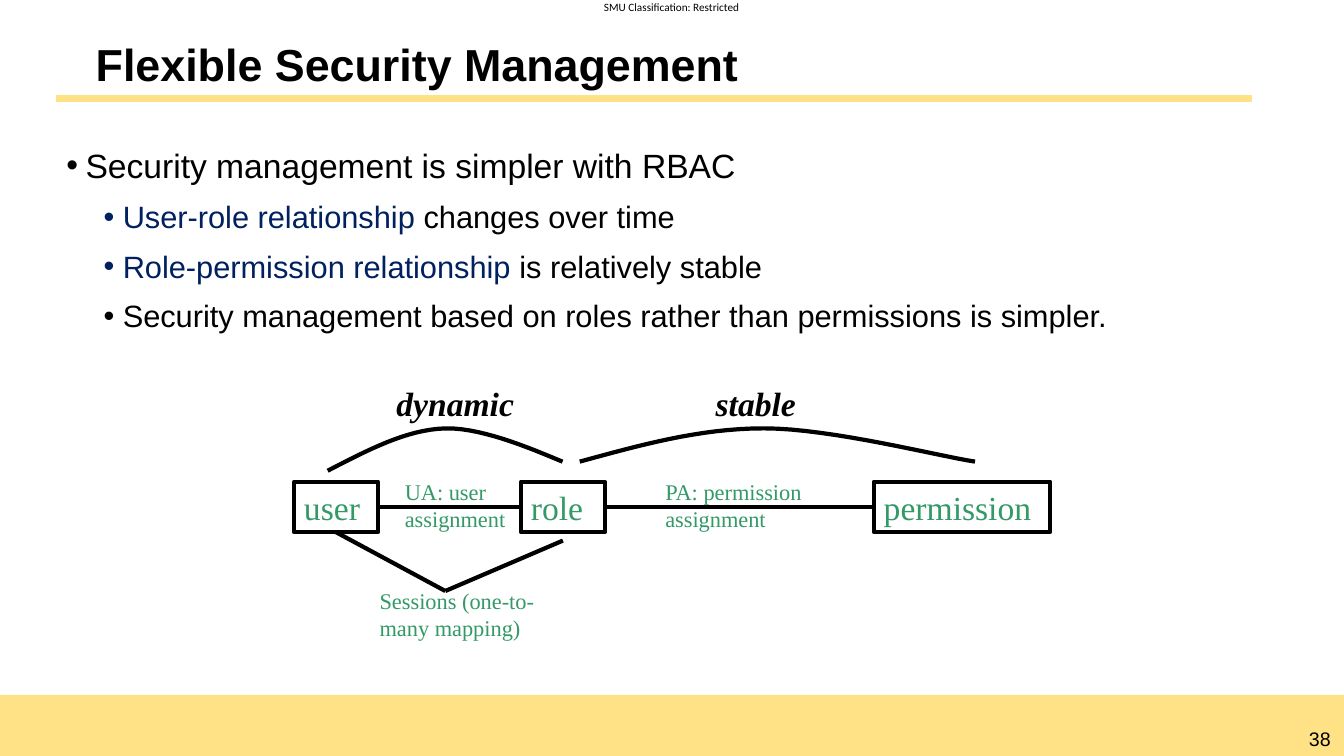
from lxml import etree
from pptx import Presentation, util as u
from pptx.dml.color import RGBColor
from pptx.enum import shapes, text
from pptx.oxml.ns import qn

BLACK, NAVY, GREEN, GOLD = "000000", "002060", "339966", "FFE285"
SERIF = "Times New Roman"
STROKE = 3
# The diagram sits on a grid of twelfths of an inch, starting 3.75 inches down
CELL, DIAGRAM_TOP = 1 / 12, 3.75
BOX_ROW, BOX_ROWS = 12.36, 6


def colour(value):
    return RGBColor.from_string(value)


def col(n):
    return n * CELL


def row(n):
    return DIAGRAM_TOP + n * CELL


def area(left, top, columns, rows):
    return col(left), row(top), columns * CELL, rows * CELL


def inches(values):
    return [u.Inches(v) for v in values]


def write(paragraph, words, size=24, font="Arial", color=BLACK, bold=False, italic=False):
    run = paragraph.add_run()
    run.text = words
    run.font.size, run.font.name = u.Pt(size), font
    run.font.bold, run.font.italic = bold, italic
    run.font.color.rgb = colour(color)


def set_frame(frame, insets=(0.1, 0.05), anchor=text.MSO_ANCHOR.TOP):
    frame.word_wrap = True
    frame.margin_left = frame.margin_right = u.Inches(insets[0])
    frame.margin_top = frame.margin_bottom = u.Inches(insets[1])
    frame.vertical_anchor = anchor
    return frame.paragraphs[0]


def add_text(slide, place, words, align=text.PP_ALIGN.LEFT, insets=(0.1, 0.05),
             anchor=text.MSO_ANCHOR.TOP, **style):
    frame = slide.shapes.add_textbox(*inches(place)).text_frame
    paragraph = set_frame(frame, insets, anchor)
    paragraph.alignment = align
    write(paragraph, words, **style)
    return paragraph


def add_line(slide, start, end, color=BLACK, width=STROKE, begin=None, finish=None):
    """begin and finish are (box, side) pairs to join."""
    line = slide.shapes.add_connector(shapes.MSO_CONNECTOR.STRAIGHT, *inches(start + end))
    line.line.color.rgb, line.line.width = colour(color), u.Pt(width)
    etree.SubElement(line._element.spPr, qn("a:effectLst"))
    if begin:
        line.begin_connect(*begin)
    if finish:
        line.end_connect(*finish)


def add_entity(slide, left, columns, words):
    box = slide.shapes.add_shape(shapes.MSO_SHAPE.RECTANGLE,
                                 *inches(area(left, BOX_ROW, columns, BOX_ROWS)))
    box.shadow.inherit = False
    box.fill.background()
    box.line.color.rgb, box.line.width = colour(BLACK), u.Pt(STROKE)
    paragraph = set_frame(box.text_frame)
    paragraph.alignment = text.PP_ALIGN.LEFT
    write(paragraph, words, font=SERIF, color=GREEN)
    return box


def add_arc(slide, start, *curves, steps=16):
    """Draw cubic curves, each given as two controls and an end, in inches."""
    points = [start]
    for curve in curves:
        corners = (points[-1],) + curve
        for step in range(1, steps + 1):
            t = step / steps
            weights = (1 - t) ** 3, 3 * t * (1 - t) ** 2, 3 * t * t * (1 - t), t ** 3
            points.append(tuple(sum(w * c[axis] for w, c in zip(weights, corners))
                                for axis in (0, 1)))
    builder = slide.shapes.build_freeform(*inches(start))
    builder.add_line_segments([inches(point) for point in points[1:]], close=False)
    arc = builder.convert_to_shape()
    arc.shadow.inherit = False
    arc.fill.background()
    arc.line.color.rgb, arc.line.width = colour(BLACK), u.Pt(STROKE)


def add_bullets(slide, place, items):
    frame = slide.shapes.add_textbox(*inches(place)).text_frame
    set_frame(frame)
    for index, (level, size, parts) in enumerate(items):
        paragraph = frame.add_paragraph() if index else frame.paragraphs[0]
        paragraph.level = level
        props = paragraph._p.get_or_add_pPr()
        props.set("marL", str(u.Inches(0.19 + 0.37 * level)))
        props.set("indent", str(u.Inches(-0.19)))
        etree.SubElement(props, qn("a:buFont")).set("typeface", "Arial")
        etree.SubElement(props, qn("a:buChar")).set("char", "•")
        if index:
            paragraph.space_before = u.Pt(4.5)
        paragraph.space_after = u.Pt(4.5)
        for words, color in parts:
            write(paragraph, words, size=size, color=color)


def add_page_frame(slide, width, height):
    band_top = 0.919 * height
    band = slide.shapes.add_shape(shapes.MSO_SHAPE.RECTANGLE,
                                  *inches((0, band_top, width, height - band_top)))
    band.shadow.inherit = False
    band.fill.solid()
    band.fill.fore_color.rgb = colour(GOLD)
    band.line.fill.background()
    add_text(slide, (12.85, 7.16, 0.48, 0.34), "38", align=text.PP_ALIGN.CENTER, size=14)
    add_text(slide, (5.99, 0, 1.37, 0.13), "SMU Classification: Restricted",
             insets=(0, 0), size=8, font="Calibri")
    add_line(slide, (0.56, 0.98), (12.42, 0.98), color=GOLD, width=4.75)


def add_diagram(slide):
    # Entities and the relations between them
    user = add_entity(slide, 35, 10, "user")
    permission = add_entity(slide, 104, 21, "permission")
    role = add_entity(slide, 62, 10, "role")
    middle, bottom = row(BOX_ROW + BOX_ROWS / 2), BOX_ROW + BOX_ROWS
    add_line(slide, (col(45), middle), (col(62), middle), begin=(user, 3), finish=(role, 1))
    add_line(slide, (col(72), middle), (col(104), middle),
             begin=(role, 3), finish=(permission, 1))

    # Sessions
    session = (col(53), row(bottom + 7))
    add_line(slide, (col(40), row(bottom)), session, begin=(user, 2))
    add_line(slide, session, (col(67), row(bottom + 1)))

    # Labels
    for left, top, columns, words in (
            (47, BOX_ROW - 1, 15, "UA: user assignment"),
            (78, BOX_ROW - 1, 19, "PA: permission assignment"),
            (44, bottom + 6, 23, "Sessions (one-to-many mapping)")):
        add_text(slide, area(left, top, columns, 7.7), words,
                 size=16, font=SERIF, color=GREEN)
    for left, columns, words in ((46, 17, "dynamic"), (84, 13, "stable")):
        add_text(slide, area(left, 0, columns, 6), words,
                 font=SERIF, bold=True, italic=True)

    # Arcs under the dynamic and stable labels
    add_arc(slide, (3.25, 4.67), ((3.64, 4.47), (4.03, 4.26), (4.42, 4.25)),
            ((4.81, 4.24), (5.38, 4.5), (5.58, 4.58)))
    add_arc(slide, (5.75, 4.58), ((6.34, 4.42), (6.93, 4.25), (7.58, 4.25)),
            ((8.24, 4.25), (9.33, 4.53), (9.67, 4.58)))


def main():
    deck = Presentation()
    width, height = 13.33, 7.5
    deck.slide_width, deck.slide_height = inches((width, height))
    slide = deck.slides.add_slide(deck.slide_layouts[6])

    add_page_frame(slide, width, height)
    title = add_text(slide, (0.56, 0.34, 11.86, 0.64), "Flexible Security Management",
                     insets=(0.39, 0.05), anchor=text.MSO_ANCHOR.MIDDLE, size=32, bold=True)
    title.line_spacing = 0.9
    add_bullets(slide, (0.56, 1.39, 11.86, 2.57), (
        (0, 24, [("Security management is simpler with RBAC", BLACK)]),
        (1, 22, [("User-role relationship ", NAVY), ("changes over time", BLACK)]),
        (1, 22, [("Role-permission relationship ", NAVY), ("is relatively stable", BLACK)]),
        (1, 22, [("Security management based on roles rather than permissions is simpler.",
                  BLACK)])))
    add_diagram(slide)
    deck.save("out.pptx")


if __name__ == "__main__":
    main()
